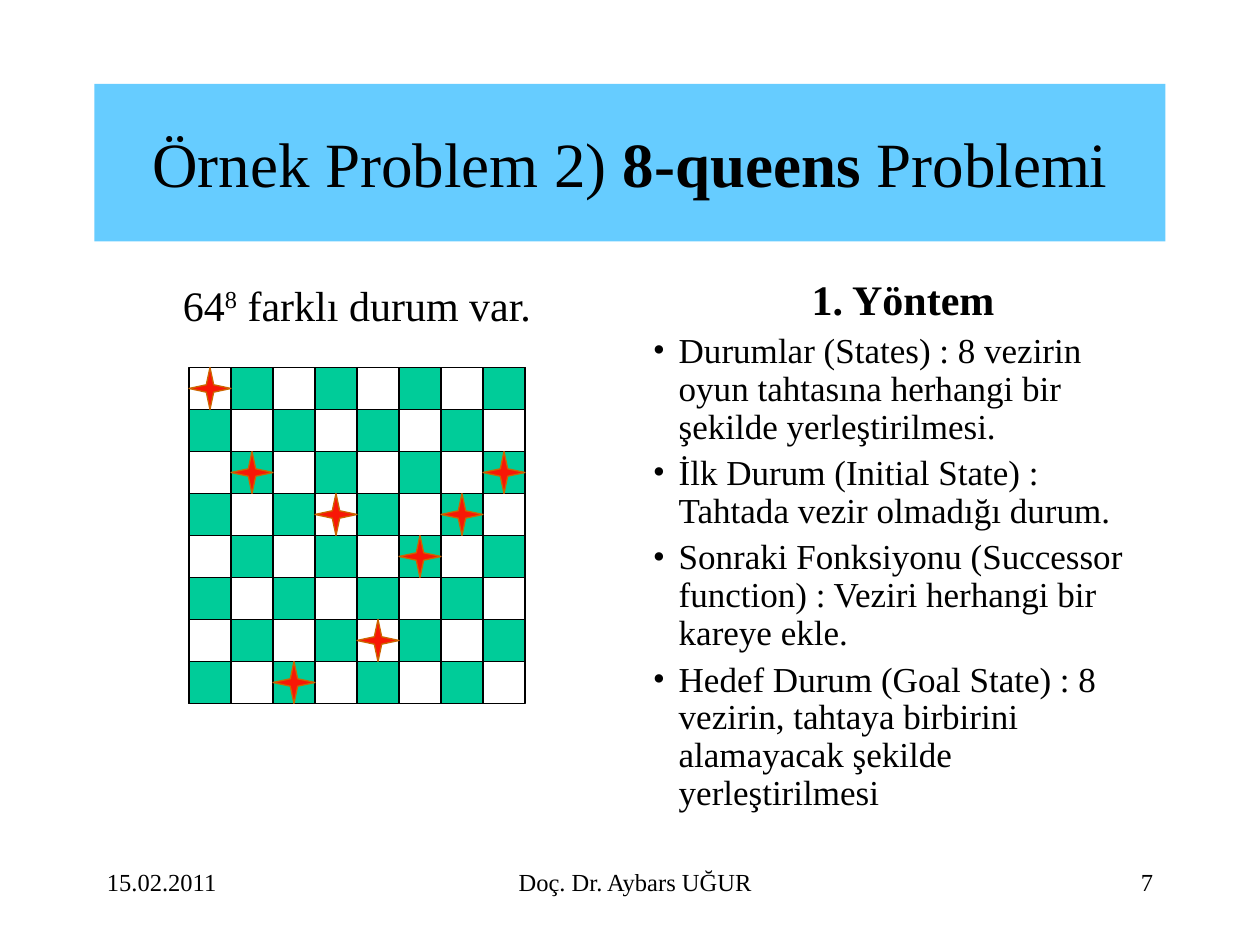
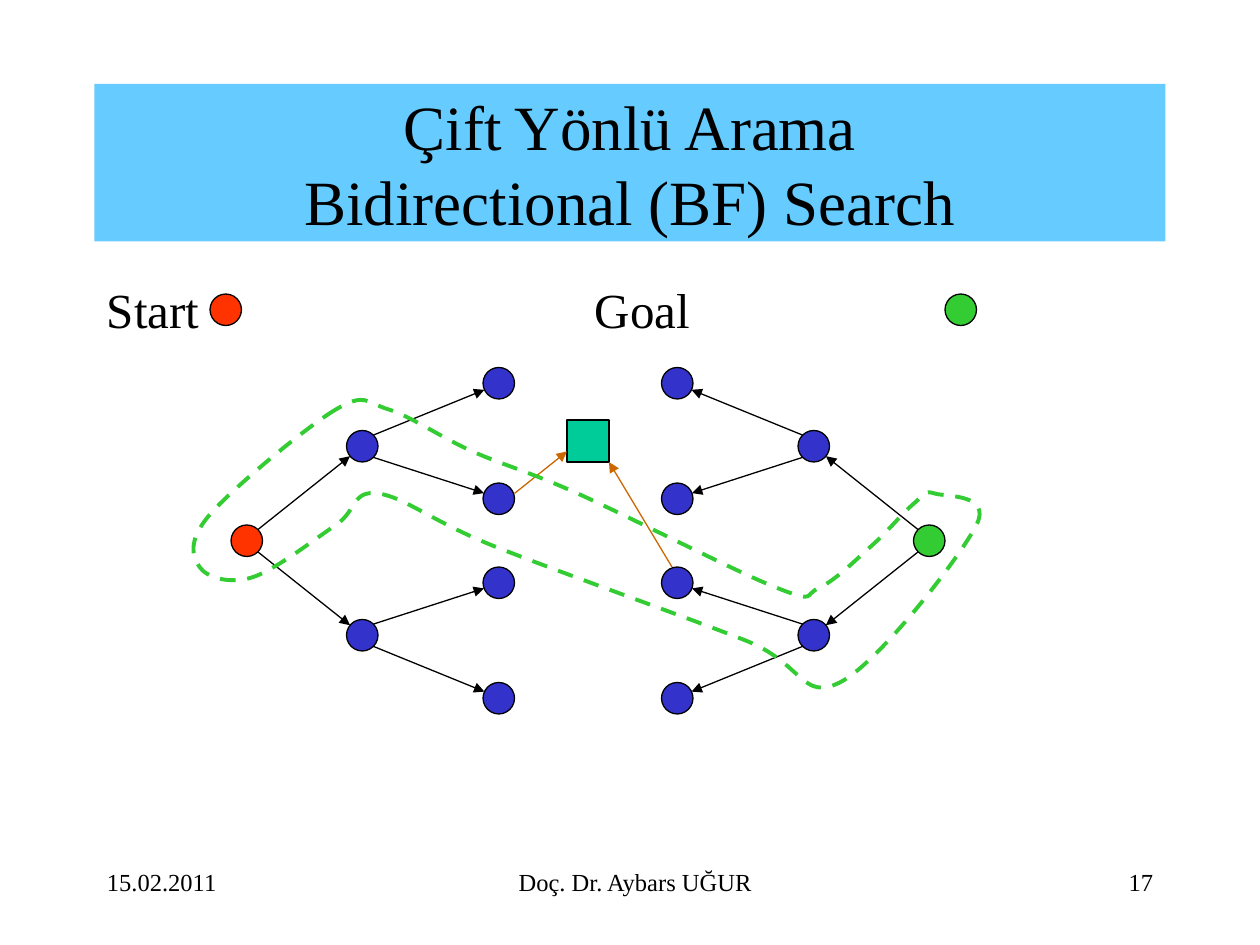
import math

import lxml.etree
import pptx
import pptx.dml.color
import pptx.enum.dml
import pptx.enum.shapes
import pptx.enum.text
import pptx.oxml.ns
import pptx.util

FONT = "Times New Roman"
BLACK, BAND = "000000", "66CCFF"
TEAL, ORANGE, QUEEN = "00CC99", "CC6600", "F81706"
BLUE, RED, GREEN = "3333CC", "FF3300", "33CC33"
SHAPES = pptx.enum.shapes.MSO_SHAPE
ALIGN = pptx.enum.text.PP_ALIGN
ANCHOR = pptx.enum.text.MSO_ANCHOR
NODE = 3


def color(value):
    return pptx.dml.color.RGBColor.from_string(value)


def grid(units):
    return pptx.util.Cm(round(units * 2.54 / 12, 4))


def add_xml(parent, tag, **attributes):
    return lxml.etree.SubElement(parent, pptx.oxml.ns.qn(tag), **attributes)


def set_hanging(paragraph, indent):
    properties = paragraph._element.get_or_add_pPr()
    properties.set("marL", str(indent))
    properties.set("indent", str(-indent))
    return properties


class Deck:
    """Draw elements on the current slide, placed in grid units of a twelfth of an inch."""

    def __init__(self):
        self.presentation = pptx.Presentation()
        self.presentation.slide_width = pptx.util.Cm(25.4)
        self.presentation.slide_height = pptx.util.Cm(19.05)
        self.slide = None

    def new_slide(self, title_lines, number):
        self.slide = self.presentation.slides.add_slide(self.presentation.slide_layouts[6])
        self.footer("15.02.2011", 9, 19, ALIGN.LEFT)
        self.footer("Doç. Dr. Aybars UĞUR", 29, 63, ALIGN.CENTER)
        self.footer(str(number), 93, 18, ALIGN.RIGHT)
        self.title(title_lines)

    def footer(self, text, left, width, alignment):
        frame = self.text_box(left, 82, width, 6)
        self.fill_paragraph(frame.paragraphs[0], [(text, {})], 14, alignment)

    def title(self, lines):
        band = self.shape(SHAPES.RECTANGLE, 9, 8, 102, 15, BAND, None)
        band.text_frame.word_wrap = True
        band.text_frame.vertical_anchor = ANCHOR.MIDDLE
        paragraph = band.text_frame.paragraphs[0]
        for index, runs in enumerate(lines):
            if index:
                paragraph.add_line_break()
            self.fill_paragraph(paragraph, runs, 36, ALIGN.CENTER)

    def text_box(self, left, top, width, height):
        box = self.slide.shapes.add_textbox(grid(left), grid(top), grid(width), grid(height))
        box.text_frame.word_wrap = True
        return box.text_frame

    def fill_paragraph(self, paragraph, runs, size, alignment=ALIGN.LEFT):
        paragraph.alignment = alignment
        for text, style in runs:
            run = paragraph.add_run()
            run.text = text
            run.font.name = FONT
            run.font.size = pptx.util.Pt(size)
            run.font.bold = style.get("bold", False)
            run.font.color.rgb = color(BLACK)
            if "baseline" in style:
                run.font._element.set("baseline", style["baseline"])

    def bullet(self, frame, text, size):
        paragraph = frame.add_paragraph()
        paragraph.line_spacing = 0.9
        paragraph.space_before = pptx.util.Pt(5)
        properties = set_hanging(paragraph, pptx.util.Cm(0.52))
        add_xml(properties, "a:buFont", typeface=FONT)
        add_xml(properties, "a:buChar", char="•")
        self.fill_paragraph(paragraph, [(text, {})], size)

    def shape(self, kind, left, top, width, height, fill, line=BLACK):
        shape = self.slide.shapes.add_shape(
            kind, grid(left), grid(top), grid(width), grid(height))
        shape.shadow.inherit = False
        if fill:
            shape.fill.solid()
            shape.fill.fore_color.rgb = color(fill)
        else:
            shape.fill.background()
        if line:
            shape.line.color.rgb = color(line)
            shape.line.width = pptx.util.Pt(0.75)
        else:
            shape.line.fill.background()
        return shape

    def node(self, center, fill):
        x, y = center
        self.shape(SHAPES.OVAL, x - NODE / 2, y - NODE / 2, NODE, NODE, fill)

    def arrow(self, start, end, line=BLACK):
        connector = self.slide.shapes.add_connector(
            pptx.enum.shapes.MSO_CONNECTOR.STRAIGHT, *map(grid, (*start, *end)))
        connector.line.color.rgb = color(line)
        connector.line.width = pptx.util.Pt(0.75)
        properties = connector._element.spPr
        add_xml(properties.find(pptx.oxml.ns.qn("a:ln")), "a:tailEnd", type="triangle")
        add_xml(properties, "a:effectLst")

    def edge(self, start, end):
        dx, dy = end[0] - start[0], end[1] - start[1]
        corner = NODE / 2 * math.sqrt(0.5)
        reach = NODE / 2 / math.hypot(dx, dy)
        self.arrow(
            (start[0] + math.copysign(corner, dx), start[1] + math.copysign(corner, dy)),
            (end[0] - dx * reach, end[1] - dy * reach))

    def dashed_loop(self, anchors, line):
        points = [(grid(x), grid(y)) for x, y in curve_points(anchors)]
        builder = self.slide.shapes.build_freeform(*points[0])
        builder.add_line_segments(points[1:], close=True)
        loop = builder.convert_to_shape()
        segments = list(loop._element.iter(pptx.oxml.ns.qn("a:lnTo")))
        for first in range(0, len(points) - 1, 3):
            curve = lxml.etree.Element(pptx.oxml.ns.qn("a:cubicBezTo"))
            segments[first].addprevious(curve)
            for segment in segments[first:first + 3]:
                curve.append(segment[0])
                segment.getparent().remove(segment)
        loop.shadow.inherit = False
        loop.fill.background()
        loop.line.color.rgb = color(line)
        loop.line.width = pptx.util.Pt(2.25)
        loop.line.dash_style = pptx.enum.dml.MSO_LINE.DASH


def curve_points(anchors):
    points = [anchors[0]]
    for index in range(len(anchors)):
        before, start, end, after = (
            anchors[(index + shift) % len(anchors)] for shift in (-1, 0, 1, 2))
        points.append(tuple(s + (e - b) / 6 for b, s, e in zip(before, start, end)))
        points.append(tuple(e - (a - s) / 6 for s, e, a in zip(start, end, after)))
        points.append(end)
    return points


def queens_slide(deck):
    deck.new_slide(
        [[("Örnek Problem 2) ", {}), ("8-queens", {"bold": True}), (" Problemi", {})]], 7)
    frame = deck.text_box(9, 26, 50, 54)
    deck.fill_paragraph(
        frame.paragraphs[0],
        [("64", {}), ("8", {"baseline": "30000"}), (" farklı durum var.", {})],
        24, ALIGN.CENTER)

    frame = deck.text_box(61, 26, 50, 54)
    frame.paragraphs[0].line_spacing = 0.9
    deck.fill_paragraph(
        frame.paragraphs[0], [("1. Yöntem", {"bold": True})], 24, ALIGN.CENTER)
    for text in (
        "Durumlar (States) : 8 vezirin oyun tahtasına herhangi bir şekilde yerleştirilmesi.",
        "İlk Durum (Initial State) : Tahtada vezir olmadığı durum.",
        "Sonraki Fonksiyonu (Successor function) : Veziri herhangi bir kareye ekle.",
        "Hedef Durum (Goal State) : 8 vezirin, tahtaya birbirini alamayacak şekilde "
        "yerleştirilmesi",
    ):
        deck.bullet(frame, text, 20)

    left, top, cell, count = 18, 35, 4, 8
    deck.shape(SHAPES.RECTANGLE, left, top, cell * count, cell * count, None)
    for row in range(count):
        for column in range(count):
            if (row + column) % 2:
                deck.shape(SHAPES.RECTANGLE, left + column * cell, top + row * cell,
                           cell, cell, TEAL)
    for column, row in enumerate((0, 2, 7, 3, 6, 4, 3, 2)):
        queen = deck.shape(SHAPES.STAR_4_POINT, left + column * cell, top + row * cell,
                           cell, cell, QUEEN, ORANGE)
        queen.adjustments[0] = 0.125


def bidirectional_slide(deck):
    deck.new_slide(
        [[("Çift Yönlü Arama", {})], [("Bidirectional (BF) Search", {})]], 17)
    paragraph = deck.text_box(9, 26, 102, 54).paragraphs[0]
    tabs = add_xml(set_hanging(paragraph, pptx.util.Cm(0.95)), "a:tabLst")
    for stop in range(8):
        add_xml(tabs, "a:tab", pos=str(pptx.util.Cm(2.54 * stop)), algn="l")
    deck.fill_paragraph(paragraph, [("Start" + "\t" * 7 + "Goal", {})], 28)

    branch_rows = {42.5: (36.5, 47.5), 60.5: (55.5, 66.5)}
    for root_x, branch_x, leaf_x, fill in (
            (88.5, 77.5, 64.5, GREEN), (23.5, 34.5, 47.5, RED)):
        root = (root_x, 51.5)
        deck.node(root, fill)
        for branch_y, leaf_rows in branch_rows.items():
            branch = (branch_x, branch_y)
            deck.node(branch, BLUE)
            deck.edge(root, branch)
            for leaf_y in leaf_rows:
                leaf = (leaf_x, leaf_y)
                deck.node(leaf, BLUE)
                deck.edge(branch, leaf)

    deck.shape(SHAPES.RECTANGLE, 54, 40, 4, 4, TEAL)
    deck.arrow((49, 47), (54, 43), ORANGE)
    deck.arrow((64, 54), (58, 44), ORANGE)
    deck.dashed_loop(
        [(32, 39), (20, 49), (19, 54), (24, 55), (32, 50), (36, 47), (47, 52), (71, 61),
         (80, 65), (93, 50), (89, 47), (87, 48), (83, 52), (78, 56), (74, 56), (55, 47),
         (45, 43), (37, 39)], GREEN)
    deck.node((21.5, 29.5), RED)
    deck.node((91.5, 29.5), GREEN)


def main():
    deck = Deck()
    queens_slide(deck)
    bidirectional_slide(deck)
    deck.presentation.save("out.pptx")


if __name__ == "__main__":
    main()
